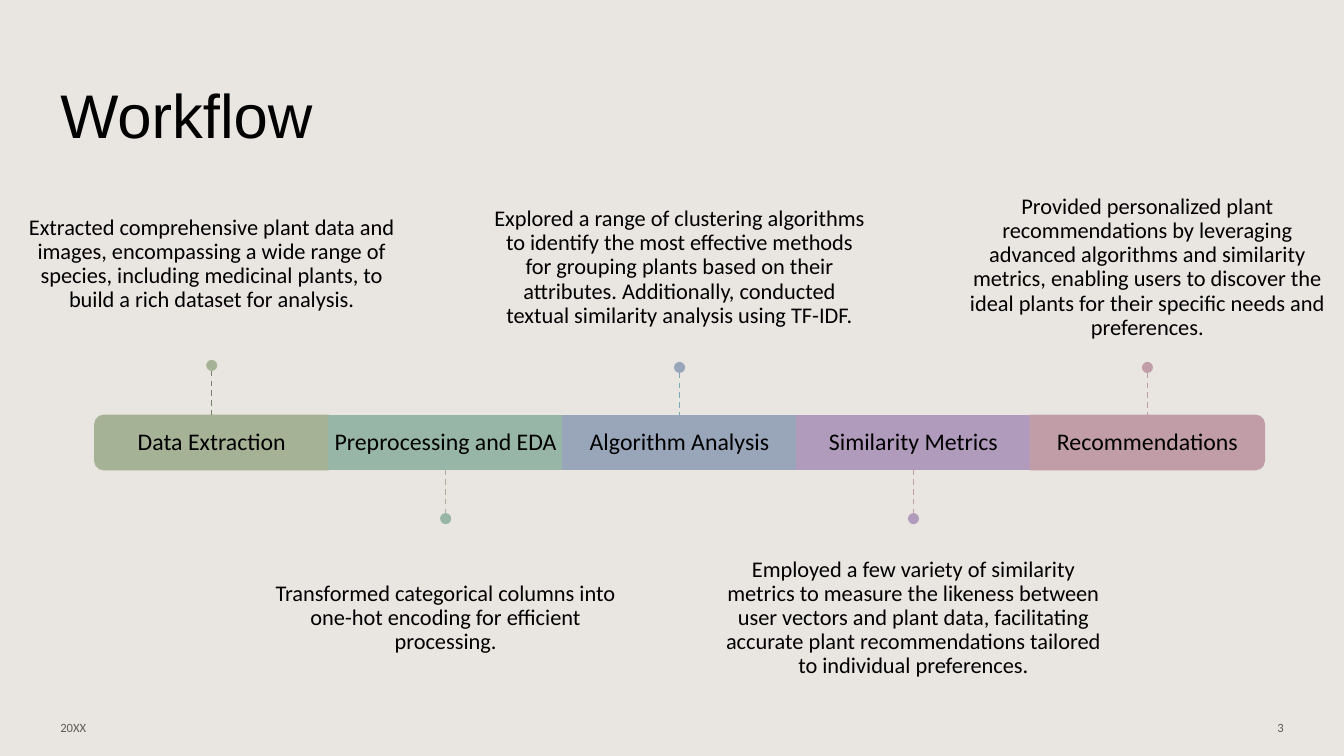
from dataclasses import dataclass

from lxml import etree
from pptx import Presentation
from pptx.dml.color import RGBColor
from pptx.enum import dml, shapes, text
from pptx.oxml.ns import qn
from pptx.util import Inches, Pt

HUES = {
    "page": "E9E5E1",
    "ink": "000000",
    "gray": "5D5C5A",
    "moss": "A5B295",
    "fern": "758468",
    "sage": "97B6A7",
    "blue": "99A6BA",
    "teal": "79A9B4",
    "plum": "B19BBD",
    "rose": "C19DA7",
}
LEFT, TOP, WIDE, HIGH = 0.94, 4.12, 2.32, 0.54
DOT, NOTE = 0.11, 3.87
KIND = shapes.MSO_SHAPE
MID = text.PP_ALIGN.CENTER


@dataclass
class Step:
    name: str
    note: str
    fill: str
    line: str
    dot: float
    top: float
    high: float = 1.87
    turn: int = 0


STEPS = [
    Step("Data Extraction",
         "Extracted comprehensive plant data and images, encompassing a wide range of "
         "species, including medicinal plants, to build a rich dataset for analysis.",
         "moss", "fern", 3.57, 1.72, 1.8, 270),
    Step("Preprocessing and EDA",
         "Transformed categorical columns into one-hot encoding for efficient processing.",
         "sage", "moss", 5.09, 5.2),
    Step("Algorithm Analysis",
         "Explored a range of clustering algorithms to identify the most effective methods "
         "for grouping plants based on their attributes. Additionally, conducted textual "
         "similarity analysis using TF-IDF.",
         "blue", "teal", 3.59, 1.72),
    Step("Similarity Metrics",
         "Employed a few variety of similarity metrics to measure the likeness between "
         "user vectors and plant data, facilitating accurate plant recommendations "
         "tailored to individual preferences.",
         "plum", "rose", 5.09, 5.2),
    Step("Recommendations",
         "Provided personalized plant recommendations by leveraging advanced algorithms "
         "and similarity metrics, enabling users to discover the ideal plants for their "
         "specific needs and preferences.",
         "rose", "rose", 3.59, 1.72, turn=90),
]


def tint(name: str) -> RGBColor:
    return RGBColor.from_string(HUES[name])


def write(slide, words: str, x: float, y: float, w: float, h: float, size: float,
          face: str = "Calibri", hue: str = "ink", align=text.PP_ALIGN.LEFT,
          pad: tuple[float, float] = (0.1, 0.05), lead: float = 1.0) -> None:
    box = slide.shapes.add_textbox(Inches(x), Inches(y), Inches(w), Inches(h))
    frame = box.text_frame
    frame.word_wrap = True
    frame.vertical_anchor = text.MSO_ANCHOR.MIDDLE
    frame.margin_left = frame.margin_right = Inches(pad[0])
    frame.margin_top = frame.margin_bottom = Inches(pad[1])
    frame.text = words
    para = frame.paragraphs[0]
    para.alignment = align
    para.line_spacing = lead
    font = para.runs[0].font
    font.size = Pt(size)
    font.name = face
    font.color.rgb = tint(hue)


def block(slide, kind: shapes.MSO_SHAPE, x: float, y: float, w: float, h: float,
          hue: str, edge: bool = False, turn: int = 0) -> None:
    form = slide.shapes.add_shape(kind, Inches(x), Inches(y), Inches(w), Inches(h))
    form.shadow.inherit = False
    form.rotation = turn
    form.fill.solid()
    form.fill.fore_color.rgb = tint(hue)
    if edge:
        form.line.color.rgb = tint(hue)
        form.line.width = Pt(1)
    else:
        form.line.fill.background()


def stem(slide, x: float, start: float, end: float, hue: str) -> None:
    line = slide.shapes.add_connector(
        shapes.MSO_CONNECTOR.STRAIGHT, Inches(x), Inches(start), Inches(x), Inches(end))
    line.line.color.rgb = tint(hue)
    line.line.width = Pt(1)
    line.line.dash_style = dml.MSO_LINE.DASH
    etree.SubElement(line._element.spPr, qn("a:effectLst"))


def draw(slide, step: Step, x: float) -> None:
    mid = x + WIDE / 2
    if step.turn:
        block(slide, KIND.ROUND_2_SAME_RECTANGLE, mid - HIGH / 2,
              TOP + HIGH / 2 - WIDE / 2, HIGH, WIDE, step.fill, True, step.turn)
    else:
        block(slide, KIND.RECTANGLE, x, TOP, WIDE, HIGH, step.fill, True)
    write(slide, step.name, x, TOP, WIDE, HIGH, 17, align=MID, pad=(0.04, 0), lead=0.9)
    write(slide, step.note, mid - NOTE / 2, step.top, NOTE, step.high, 16,
          align=MID, pad=(0.07, 0.03), lead=0.9)
    if step.dot < TOP:
        stem(slide, mid, step.dot + DOT, TOP, step.line)
    else:
        stem(slide, mid, TOP + HIGH, step.dot, step.line)
    block(slide, KIND.OVAL, mid - DOT / 2, step.dot, DOT, DOT, step.fill)


def main() -> None:
    deck = Presentation()
    deck.slide_width, deck.slide_height = Inches(13.33), Inches(7.5)
    slide = deck.slides.add_slide(deck.slide_layouts[6])
    back = slide.background.fill
    back.solid()
    back.fore_color.rgb = tint("page")
    write(slide, "Workflow", 0.5, 0.4, 11.92, 1.45, 44, "Arial")
    write(slide, "20XX", 0.5, 7.02, 3, 0.4, 9, hue="gray")
    write(slide, "3", 9.83, 7.02, 3, 0.4, 9, hue="gray", align=text.PP_ALIGN.RIGHT)
    for rank, step in enumerate(STEPS):
        draw(slide, step, LEFT + rank * WIDE)
    deck.save("out.pptx")


if __name__ == "__main__":
    main()
